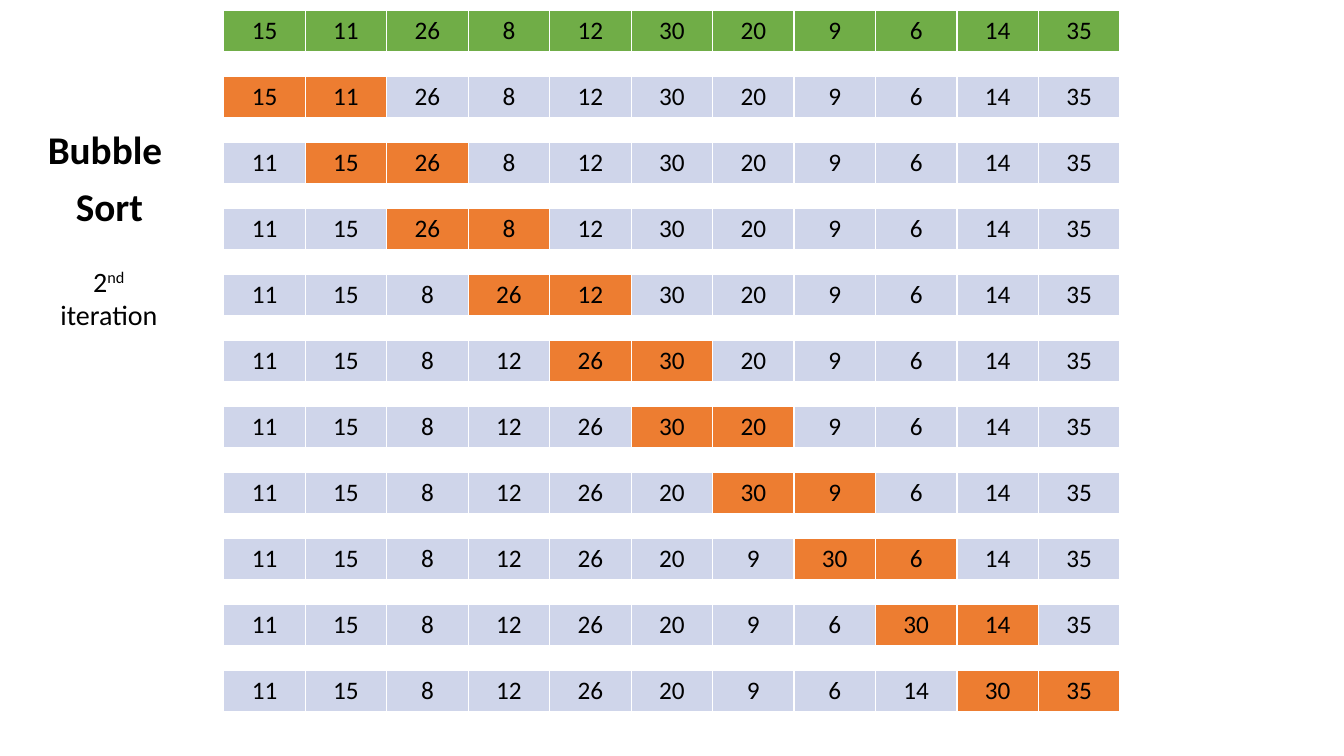
from pptx import Presentation
from pptx.dml.color import RGBColor as RGB
from pptx.enum.text import MSO_ANCHOR as ANCHOR, PP_ALIGN as ALIGN
from pptx.util import Inches, Pt

COLORS = {"text": "000000", "start": "70AD47", "pair": "ED7D31", "rest": "CFD5EA"}
START = [15, 11, 26, 8, 12, 30, 20, 9, 6, 14, 35]
LEFT, TOP, WIDTH = 2.22, 0.1, 8.89
ROW_H, ROW_STEP = 0.41, 0.655


def add_run(p, text, size, bold=False):
    p.alignment = ALIGN.CENTER
    r = p.add_run()
    r.text = text
    r.font.name, r.font.size, r.font.bold = "Calibri", Pt(size), bold
    r.font.color.rgb = RGB.from_string(COLORS["text"])
    return r


def add_text_box(left, top, width, height):
    tf = slide.shapes.add_textbox(*map(Inches, (left, top, width, height))).text_frame
    tf.word_wrap = True
    return tf


prs = Presentation()
prs.slide_width, prs.slide_height = Inches(13.33), Inches(7.5)
slide = prs.slides.add_slide(prs.slide_layouts[6])

# Title
tf = add_text_box(0.1, 1.25, 1.97, 0.66)
first, second = tf.paragraphs[0], tf.add_paragraph()
for p, word in ((first, "Bubble "), (second, "Sort")):
    add_run(p, word, 28, bold=True)
    p.line_spacing = 0.9
second.space_before = Pt(10)

# Iteration label
tf = add_text_box(0.22, 2.57, 1.72, 0.77)
p = tf.paragraphs[0]
add_run(p, "2", 20)
ordinal = add_run(p, "nd", 20)
ordinal._r.get_or_add_rPr().set("baseline", "30000")
add_run(tf.add_paragraph(), "iteration", 20)

# One pass of the sort: each step shows the pair about to be compared
steps = [(START, None)]
values = list(START)
for i in range(len(values) - 1):
    steps.append((list(values), i))
    values[i:i + 2] = sorted(values[i:i + 2])

for row, (numbers, pair) in enumerate(steps):
    table = slide.shapes.add_table(
        1, len(numbers), Inches(LEFT), Inches(TOP + row * ROW_STEP),
        Inches(WIDTH), Inches(ROW_H)).table
    table.first_row = table.horz_banding = False
    for col, number in enumerate(numbers):
        if pair is None:
            fill = "start"
        else:
            fill = "pair" if col in (pair, pair + 1) else "rest"
        cell = table.cell(0, col)
        cell.fill.solid()
        cell.fill.fore_color.rgb = RGB.from_string(COLORS[fill])
        cell.vertical_anchor = ANCHOR.MIDDLE
        add_run(cell.text_frame.paragraphs[0], str(number), 18)

prs.save("out.pptx")
